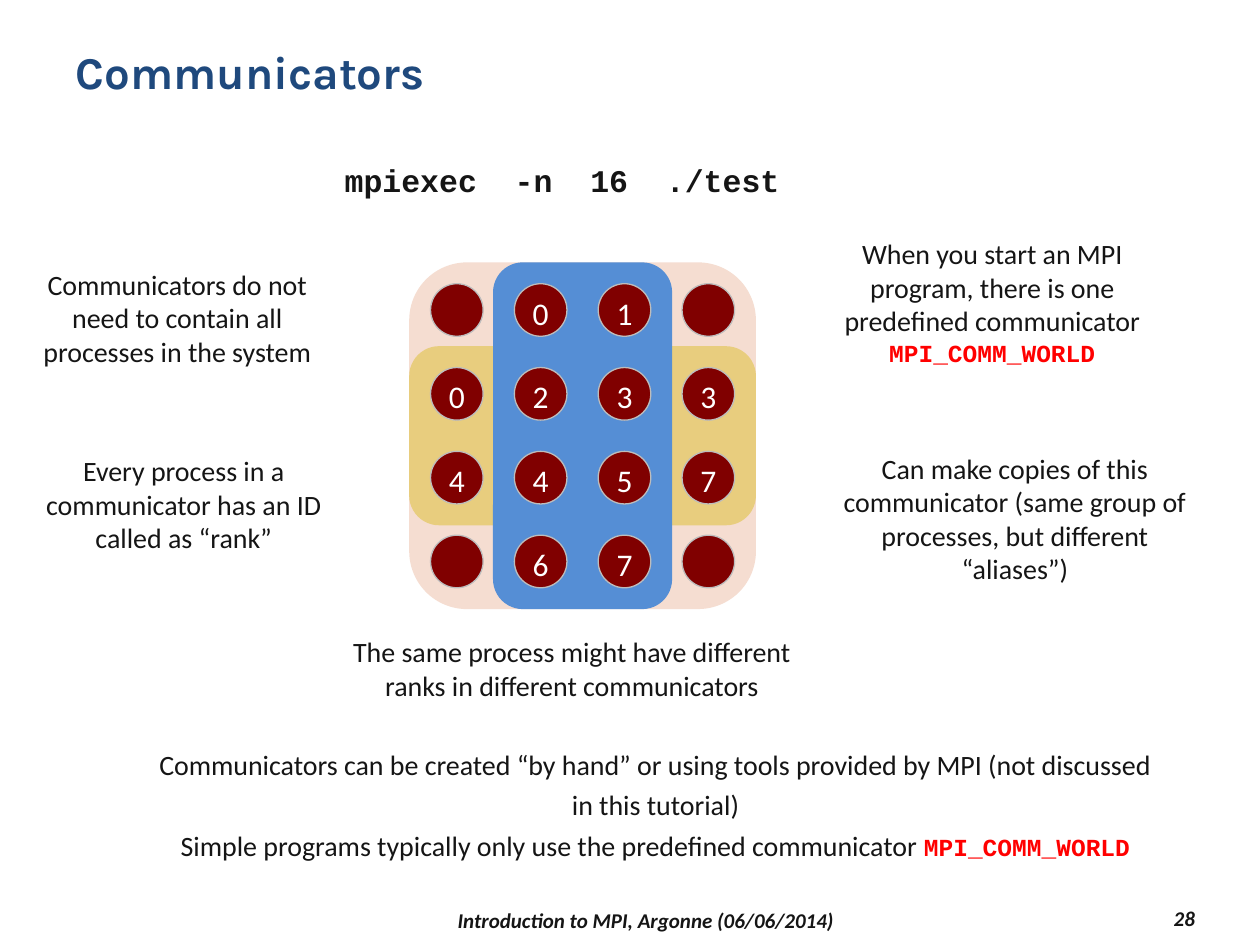
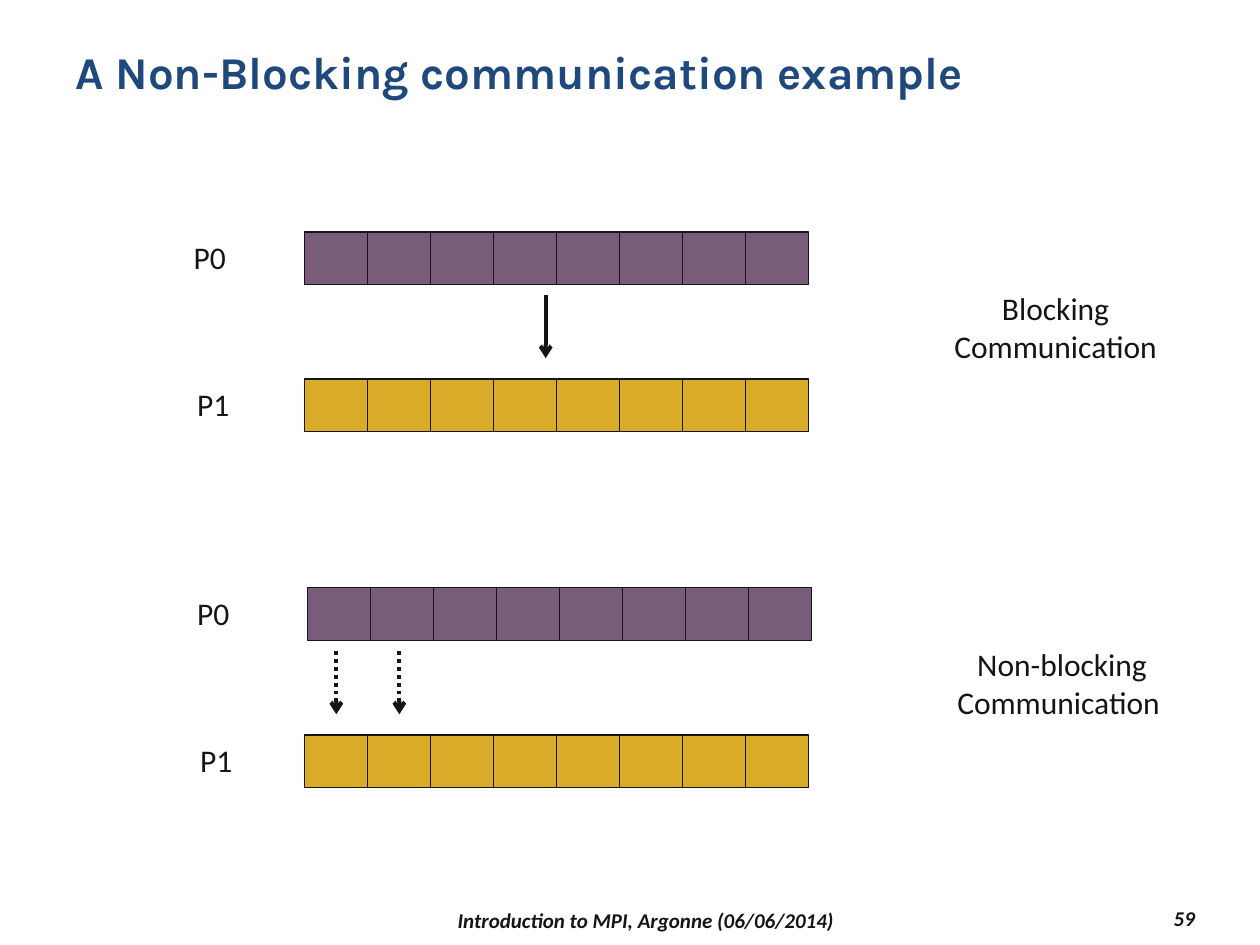
from pptx import Presentation
from pptx.dml.color import RGBColor
from pptx.enum import dml, shapes, text
from pptx.oxml import ns
from pptx.util import Cm, Pt
from lxml import etree

NAVY = RGBColor(0x1F, 0x49, 0x7D)
INK = RGBColor(0x15, 0x15, 0x15)
WHITE = RGBColor(0xFF, 0xFF, 0xFF)
RED = RGBColor(0xFF, 0x00, 0x00)
MAROON = RGBColor(0x80, 0x00, 0x00)
SILVER = RGBColor(0xBD, 0xBD, 0xBD)
PEACH = RGBColor(0xF5, 0xDD, 0xD1)
SAND = RGBColor(0xE8, 0xCD, 0x7E)
BLUE = RGBColor(0x55, 0x8E, 0xD5)
PURPLE = RGBColor(0x79, 0x5B, 0x7A)
GOLD = RGBColor(0xD8, 0xAC, 0x28)

# Text styles: font, size, colour, bold, italic
TITLE = ("Karla", 26, NAVY, True, False)
BODY = ("Calibri", 16, INK, False, False)
LABEL = ("Calibri", 18, INK, False, False)
RANK = ("Calibri", 18, WHITE, False, False)
COMMAND = ("Courier New", 18, INK, True, False)
CONSTANT = ("Courier New", 14, RED, True, False)
FOOTER = ("Calibri", 12, INK, True, True)

CENTER = text.PP_ALIGN.CENTER
MIDDLE = text.MSO_ANCHOR.MIDDLE


def write(frame, paragraphs, align=CENTER, anchor=text.MSO_ANCHOR.TOP, spacing=None):
    """Fill a text frame with paragraphs, each a list of (words, style) runs."""
    frame.word_wrap = True
    frame.auto_size = text.MSO_AUTO_SIZE.NONE
    frame.vertical_anchor = anchor
    for index, runs in enumerate(paragraphs):
        para = frame.add_paragraph() if index else frame.paragraphs[0]
        para.alignment = align
        para.line_spacing = spacing
        for words, (font, size, colour, bold, italic) in runs:
            span = para.add_run()
            span.text = words
            span.font.name = font
            span.font.size = Pt(size)
            span.font.color.rgb = colour
            span.font.bold = bold
            span.font.italic = italic


def add_block(page, kind, left, top, width, height, fill, line=None):
    """Add a flat filled shape, outlined if a line colour is given."""
    block = page.shapes.add_shape(kind, Cm(left), Cm(top), Cm(width), Cm(height))
    block.shadow.inherit = False
    block.fill.solid()
    block.fill.fore_color.rgb = fill
    if line is None:
        block.line.fill.background()
    else:
        block.line.color.rgb = line
        block.line.width = Pt(0.75)
    return block


deck = Presentation()
deck.slide_width, deck.slide_height = Cm(25.4), Cm(19.05)

# Titles and footers
pages = []
for heading, number in (("Communicators", "28"),
                        ("A Non-Blocking communication example", "59")):
    page = deck.slides.add_slide(deck.slide_layouts[5])
    pages.append(page)
    title = page.shapes.title
    title.left, title.top, title.width, title.height = Cm(1.27), Cm(0.76), Cm(22.86), Cm(2.21)
    write(title.text_frame, [[(heading, TITLE)]], text.PP_ALIGN.LEFT)
    for words, left, top, width, align in (
            ("Introduction to MPI, Argonne (06/06/2014)", 5.5, 18.2, 15.04, CENTER),
            (number, 21.59, 18.16, 2.75, text.PP_ALIGN.RIGHT)):
        box = page.shapes.add_textbox(Cm(left), Cm(top), Cm(width), Cm(0.69))
        write(box.text_frame, [[(words, FOOTER)]], align, MIDDLE)

communicators, example = pages

# Communicators: panels over a 4 x 4 grid of processes
GRID_LEFT, GRID_TOP, PITCH, CIRCLE, MARGIN = 8.68, 5.72, 1.69, 1.06, 0.43
groups = (  # colour, first column, first row, columns, rows, ranks by (column, row)
    (PEACH, 0, 0, 4, 4, {(0, 0): "", (3, 0): "", (0, 3): "", (3, 3): ""}),
    (SAND, 0, 1, 4, 2, {(0, 1): "0", (3, 1): "3", (0, 2): "4", (3, 2): "7"}),
    (BLUE, 1, 0, 2, 4, {(1 + n % 2, n // 2): str(n) for n in range(8)}),
)
for colour, column, row, columns, rows, ranks in groups:
    add_block(communicators, shapes.MSO_SHAPE.ROUNDED_RECTANGLE,
              GRID_LEFT + column * PITCH - MARGIN, GRID_TOP + row * PITCH - MARGIN,
              (columns - 1) * PITCH + CIRCLE + 2 * MARGIN,
              (rows - 1) * PITCH + CIRCLE + 2 * MARGIN, colour)
    for (x, y), rank in ranks.items():
        process = add_block(communicators, shapes.MSO_SHAPE.OVAL, GRID_LEFT + x * PITCH,
                            GRID_TOP + y * PITCH, CIRCLE, CIRCLE, MAROON, SILVER)
        if rank:
            frame = process.text_frame
            frame.margin_left = frame.margin_right = frame.margin_bottom = 0
            frame.margin_top = Cm(0.1)
            write(frame, [[(rank, RANK)]], anchor=MIDDLE)
            frame.word_wrap = False

# Communicators: command and remarks
remarks = (  # left, top, width, height, line spacing, paragraphs
    (6.15, 3.12, 10.36, 1.02, None, [[("mpiexec  -n  16  ./test", COMMAND)]]),
    (16.51, 4.65, 6.99, 3, None,
     [[("When you start an MPI program, there is one predefined communicator ", BODY),
       ("MPI_COMM_WORLD", CONSTANT)]]),
    (16.51, 8.97, 7.9, 3, None,
     [[("Can make copies of this communicator (same group of processes, "
        "but different “aliases”)", BODY)]]),
    (0.3, 5.26, 6.55, 2.31, None,
     [[("Communicators do not need to contain all processes in the system", BODY)]]),
    (0.43, 9.02, 6.55, 2.31, None,
     [[("Every process in a communicator has an ID called as “rank”", BODY)]]),
    (6.35, 12.67, 10.36, 1.63, None,
     [[("The same process might have different ranks in different communicators", BODY)]]),
    (2.79, 14.81, 20.85, 2.72, 1.2,
     [[("Communicators can be created “by hand” or using tools provided by MPI "
        "(not discussed in this tutorial)", BODY)],
      [("Simple programs typically only use the predefined communicator ", BODY),
       ("MPI_COMM_WORLD", CONSTANT)]]),
)
for left, top, width, height, spacing, paragraphs in remarks:
    box = communicators.shapes.add_textbox(Cm(left), Cm(top), Cm(width), Cm(height))
    write(box.text_frame, paragraphs, spacing=spacing)

# Example: a row of eight cells for each process
CELL_WIDTH, CELL_HEIGHT = 1.27, 1.06
buffers = (  # process, label left, cells left, top, colour
    ("P0", 3.38, 6.14, 4.68, PURPLE),
    ("P1", 3.45, 6.14, 7.64, GOLD),
    ("P0", 3.45, 6.2, 11.85, PURPLE),
    ("P1", 3.51, 6.14, 14.82, GOLD),
)
for process, label_left, left, top, colour in buffers:
    for cell in range(8):
        add_block(example, shapes.MSO_SHAPE.RECTANGLE, left + cell * CELL_WIDTH, top,
                  CELL_WIDTH, CELL_HEIGHT, colour, INK)
    box = example.shapes.add_textbox(Cm(label_left), Cm(top), Cm(1.7), Cm(1.02))
    write(box.text_frame, [[(process, LABEL)]])

# Example: captions
for caption, left, top in (("Blocking Communication", 18.21, 5.71),
                           (" Non-blocking Communication", 18.27, 12.88)):
    box = example.shapes.add_textbox(Cm(left), Cm(top), Cm(6.14), Cm(1.8))
    write(box.text_frame, [[(caption, LABEL)]])

# Example: one solid message, then dotted partial messages
for x, top, dash in ((11, 5.95, None),
                     (6.78, 13.13, dml.MSO_LINE.ROUND_DOT),
                     (8.05, 13.13, dml.MSO_LINE.ROUND_DOT)):
    arrow = example.shapes.add_connector(shapes.MSO_CONNECTOR.STRAIGHT,
                                         Cm(x), Cm(top), Cm(x), Cm(top + 1.27))
    arrow.line.color.rgb = INK
    arrow.line.width = Pt(2.25)
    if dash:
        arrow.line.dash_style = dash
    etree.SubElement(arrow.line._get_or_add_ln(), ns.qn("a:tailEnd"), type="arrow")
    etree.SubElement(arrow._element.spPr, ns.qn("a:effectLst"))

deck.save("out.pptx")
